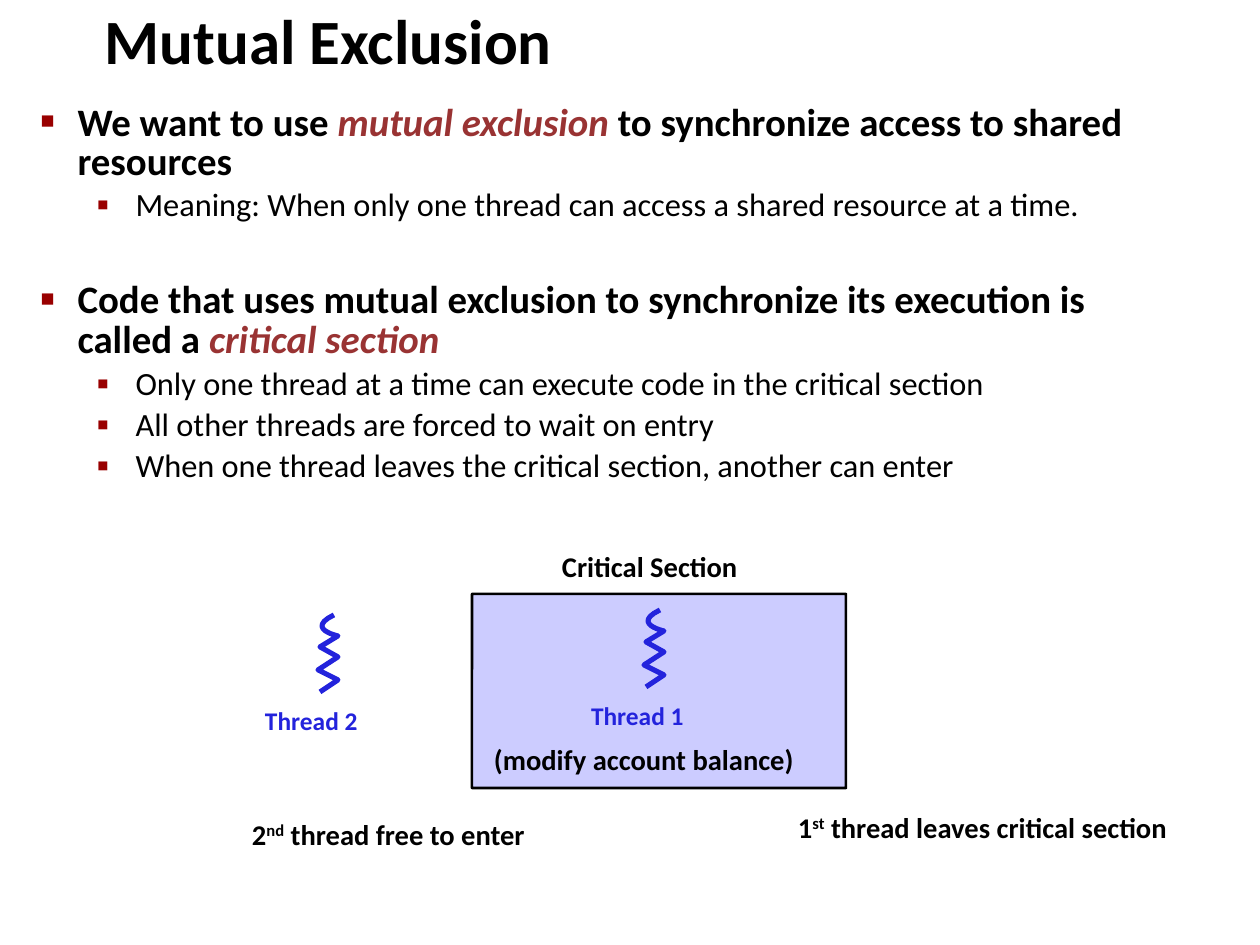
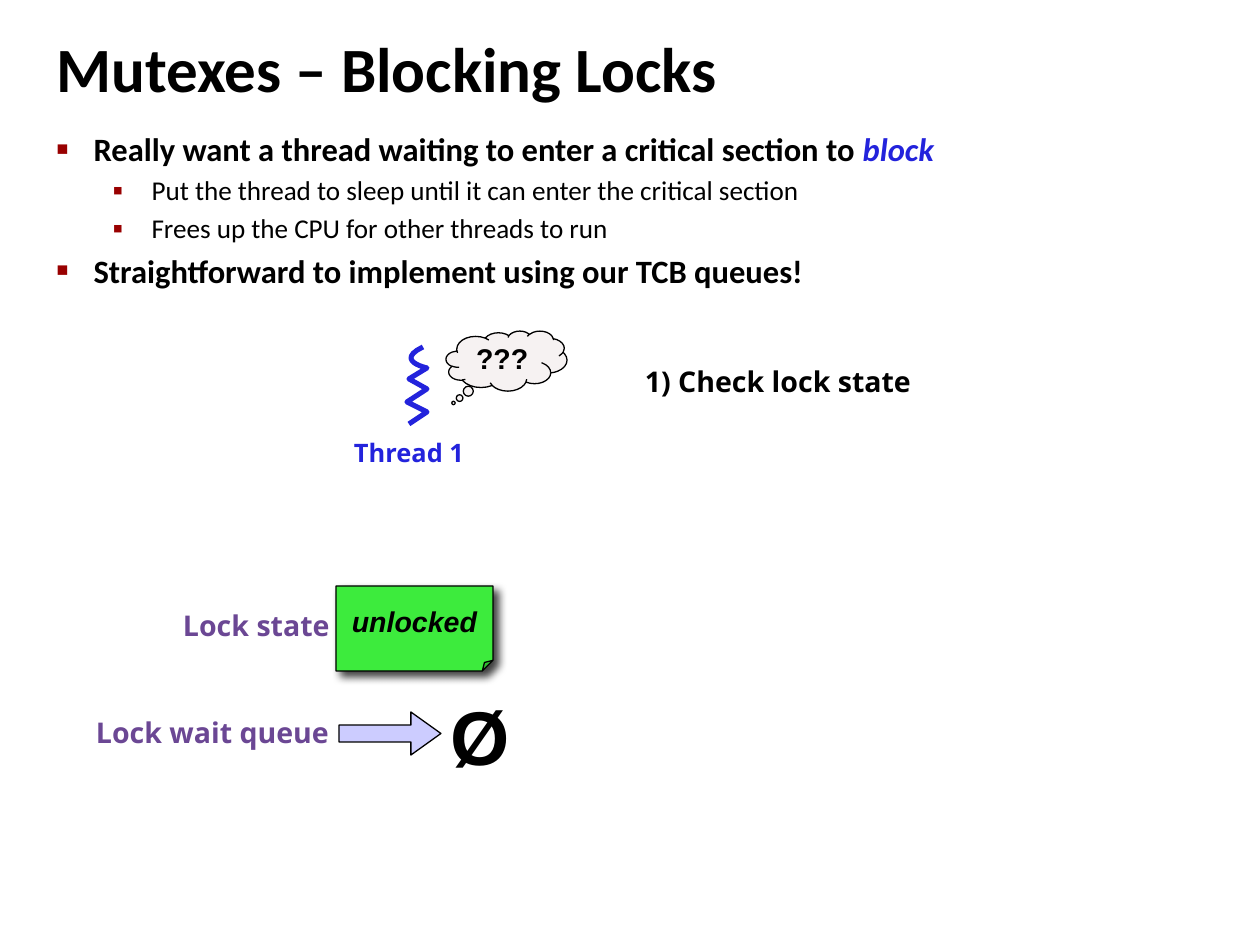
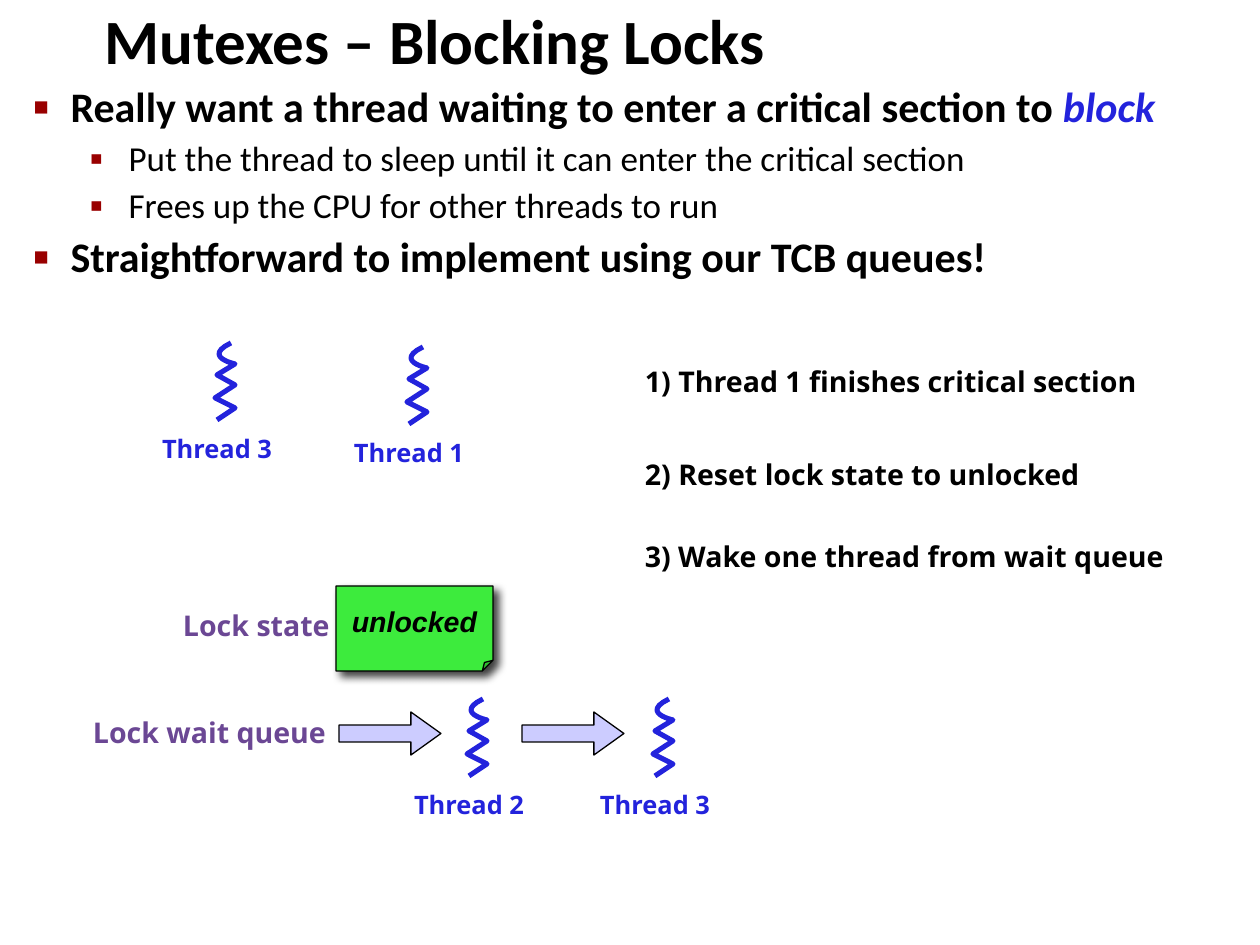
from lxml import etree
from pptx import Presentation
from pptx.dml.color import RGBColor
from pptx.enum.shapes import MSO_SHAPE
from pptx.enum.text import MSO_ANCHOR, MSO_AUTO_SIZE, PP_ALIGN
from pptx.oxml.ns import qn
from pptx.util import Pt

PX = 7257
LEFT, CENTER = PP_ALIGN.LEFT, PP_ALIGN.CENTER
TOP, MIDDLE = MSO_ANCHOR.TOP, MSO_ANCHOR.MIDDLE
NO_FIT = MSO_AUTO_SIZE.NONE
SECTION, NOTE = MSO_SHAPE.ROUNDED_RECTANGLE, MSO_SHAPE.FOLDED_CORNER
ARROW, CLOUD = MSO_SHAPE.RIGHT_ARROW, MSO_SHAPE.CLOUD_CALLOUT

COLORS = {
    "black": "000000", "thread": "2323DC", "term": "993333", "bullet": "990000",
    "lock": "6B4794", "lilac": "CCCCFF", "green": "3DEB3D", "cloud": "F6F2F2",
}
RGB = {name: RGBColor.from_string(value) for name, value in COLORS.items()}

BULLETS = [
    {"char": "■", "percent": 60, "margin": 37, "indent": -48, "bold": True},
    {"char": "▪", "percent": 110, "margin": 95, "indent": -39, "bold": False},
]

CURVE_START, CURVE_PULL, CURVE_END = (29, 0), (0, 14), (33, 21)
CURVE = [
    tuple((1 - t) ** 3 * a + 3 * (1 - t) ** 2 * t * b + (3 * (1 - t) + t) * t * t * c
          for a, b, c in zip(CURVE_START, CURVE_PULL, CURVE_END))
    for t in (step / 12 for step in range(1, 13))
]
SQUIGGLE = CURVE + [(15, 32), (33, 42), (13, 55), (33, 65), (15, 77)]


def write(paragraph, pieces, size, font, color="black", bold=True, spacing=0.95, align=LEFT):
    paragraph.alignment = align
    paragraph.line_spacing = spacing
    for piece in pieces:
        if piece == "\n":
            paragraph.add_line_break()
            continue
        text, style = (piece, {}) if isinstance(piece, str) else piece
        style = {"color": color, "italic": False, "base": 0} | style
        run = paragraph.add_run()
        run.text = text
        formats = {"name": font, "size": Pt(size), "bold": bold, "italic": style["italic"]}
        for name, value in formats.items():
            setattr(run.font, name, value)
        run.font.color.rgb = RGB[style["color"]]
        if style["base"]:
            run.font._element.set("baseline", str(style["base"] * 1000))


def set_frame(frame, anchor, wrap, margin=None):
    formats = {"auto_size": NO_FIT, "vertical_anchor": anchor, "word_wrap": wrap}
    if margin is not None:
        formats |= {f"margin_{side}": margin for side in ("left", "top", "right", "bottom")}
    for name, value in formats.items():
        setattr(frame, name, value)


BLOCK = ("block", {"color": "thread", "italic": True})
SUPER = {"base": 33}
BLOCKING_POINTS = [
    (0, None, ["Really want a thread waiting to enter a critical section to ", BLOCK]),
    (1, None, ["Put the thread to sleep until it can enter the critical section"]),
    (1, None, ["Frees up the CPU for other threads to run"]),
    (0, None, ["Straightforward to implement using our TCB queues!"]),
]
LOCK_NOTE = (NOTE, (336, 586, 157, 85), "green", 0.75, {"adj": 12500},
             [("unlocked", {"italic": True})])
ARROW_HEAD = {"adj1": 39200, "adj2": 69800}
QUEUE_ARROW = (ARROW, (339, 712, 102, 43), "lilac", 0.75, ARROW_HEAD, [])
LOCK_STATE = (183, 610, 155, ["Lock state"], "lock", 16.3, "Open Sans")

SLIDES = [
    {
        "title": "Mutual Exclusion", "title_box": (92, 10, 1076, 66),
        "body_box": (28, 98, 1213, 420), "sizes": (22.2, 18.5), "spacing": 0.85,
        "points": [
            (0, 5.4, ["We want to use ",
                      ("mutual exclusion", {"color": "term", "italic": True}),
                      " to synchronize access to shared resources"]),
            (1, None, ["Meaning: When only one thread can access a shared resource at a time."]),
            (0, 33.8, ["Code that uses mutual exclusion to synchronize its execution is",
                       "\n", "called a ",
                       ("critical section", {"color": "term", "italic": True})]),
            (1, 4.5, ["Only one thread at a time can execute code in the critical section"]),
            (1, 4.5, ["All other threads are forced to wait on entry"]),
            (1, 4.5, ["When one thread leaves the critical section, another can enter"]),
        ],
        "shapes": [(SECTION, (472, 594, 374, 194), "lilac", 1.45, {"adj": 100}, [])],
        "thread_font": "Calibri",
        "threads": [("Thread 1", 631, 610), ("Thread 2", 305, 615)],
        "labels": [
            (562, 552, 387, ["Critical Section"], "black", 16.3, "Calibri"),
            (494, 745, 387, ["(modify account balance)"], "black", 16.3, "Calibri"),
            (798, 813, 440, ["1", ("st", SUPER), " thread leaves critical section"],
             "black", 16.3, "Calibri"),
            (252, 820, 292, ["2", ("nd", SUPER), " thread free to enter"],
             "black", 16.3, "Calibri"),
        ],
    },
    {
        "title": "Mutexes – Blocking Locks", "title_box": (44, 18, 1046, 105),
        "body_box": (44, 123, 1089, 183), "sizes": (18.6, 15.5), "spacing": 1.0,
        "points": BLOCKING_POINTS,
        "shapes": [LOCK_NOTE, QUEUE_ARROW,
                   (CLOUD, (446, 331, 121, 60), "cloud", 0.75,
                    {"adj1": -43800, "adj2": 70000}, ["???"])],
        "thread_font": "Open Sans",
        "threads": [("Thread 1", 394, 347)],
        "labels": [
            LOCK_STATE,
            (96, 718, 241, ["Lock wait queue"], "lock", 16.3, "Open Sans"),
            (451, 696, 64, ["Ø"], "black", 43.5, "Arial"),
            (645, 367, 280, ["1) Check lock state"], "black", 16.3, "Open Sans"),
        ],
    },
    {
        "title": "Mutexes – Blocking Locks", "title_box": (92, 10, 1076, 66),
        "body_box": (21, 78, 1213, 774), "sizes": (24, 20), "spacing": 0.95,
        "points": BLOCKING_POINTS,
        "shapes": [LOCK_NOTE, QUEUE_ARROW,
                   (ARROW, (522, 712, 102, 43), "lilac", 0.75, ARROW_HEAD, [])],
        "thread_font": "Open Sans",
        "threads": [("Thread 1", 394, 347), ("Thread 2", 454, 699),
                    ("Thread 3", 640, 699), ("Thread 3", 202, 343)],
        "labels": [
            LOCK_STATE,
            (93, 718, 241, ["Lock wait queue"], "lock", 16.3, "Open Sans"),
            (645, 367, 510, ["1) Thread 1 finishes critical section"],
             "black", 16.3, "Open Sans"),
            (645, 459, 450, ["2) Reset lock state to unlocked"], "black", 16.3, "Open Sans"),
            (645, 542, 540, ["3) Wake one thread from wait queue"],
             "black", 16.3, "Open Sans"),
        ],
    },
]

deck = Presentation()
deck.slide_width, deck.slide_height = 1260 * PX, 945 * PX

for content in SLIDES:
    slide = deck.slides.add_slide(deck.slide_layouts[1])
    title, body = slide.shapes.title, slide.placeholders[1]
    for holder, box in ((title, content["title_box"]), (body, content["body_box"])):
        for side, length in zip(("left", "top", "width", "height"), box):
            setattr(holder, side, length * PX)
    set_frame(title.text_frame, MIDDLE, True)
    write(title.text_frame.paragraphs[0], [content["title"]], 36, "Calibri")

    set_frame(body.text_frame, TOP, True)
    for index, (level, before, pieces) in enumerate(content["points"]):
        point = body.text_frame.add_paragraph() if index else body.text_frame.paragraphs[0]
        bullet = BULLETS[level]
        point.level = level
        if before:
            point.space_before = Pt(before)
        write(point, pieces, content["sizes"][level], "Calibri",
              bold=bullet["bold"], spacing=content["spacing"])
        properties = point._p.get_or_add_pPr()
        properties.set("marL", str(bullet["margin"] * PX))
        properties.set("indent", str(bullet["indent"] * PX))
        bullet_color = etree.SubElement(properties, qn("a:buClr"))
        etree.SubElement(bullet_color, qn("a:srgbClr"), val=COLORS["bullet"])
        etree.SubElement(properties, qn("a:buSzPct"), val=str(bullet["percent"] * 1000))
        etree.SubElement(properties, qn("a:buFont"), typeface="Arial")
        etree.SubElement(properties, qn("a:buChar"), char=bullet["char"])

    for kind, box, fill, line, adjustments, pieces in content["shapes"]:
        part = slide.shapes.add_shape(kind, *(length * PX for length in box))
        geometry = part._element.spPr.find(qn("a:prstGeom"))
        for guides in geometry.findall(qn("a:avLst")):
            geometry.remove(guides)
        guides = etree.SubElement(geometry, qn("a:avLst"))
        for name, value in adjustments.items():
            etree.SubElement(guides, qn("a:gd"), name=name, fmla=f"val {value}")
        part.fill.solid()
        part.fill.fore_color.rgb = RGB[fill]
        part.line.color.rgb = RGB["black"]
        part.line.width = Pt(line)
        part.shadow.inherit = False
        if kind == NOTE:
            effects = part._element.spPr.find(qn("a:effectLst"))
            shadow = etree.SubElement(effects, qn("a:outerShdw"), blurRad="63500",
                                      dist="52070", dir="2700000", algn="tl", rotWithShape="0")
            shade = etree.SubElement(shadow, qn("a:srgbClr"), val=COLORS["black"])
            etree.SubElement(shade, qn("a:alpha"), val="75000")
        if pieces:
            set_frame(part.text_frame, MIDDLE, False, 0)
            write(part.text_frame.paragraphs[0], pieces, 16.3, "Arial", align=CENTER)

    labels = list(content["labels"])
    for name, left, top in content["threads"]:
        outline = slide.shapes.build_freeform(
            (left + CURVE_START[0]) * PX, (top + CURVE_START[1]) * PX)
        outline.add_line_segments(
            [((left + x) * PX, (top + y) * PX) for x, y in SQUIGGLE], close=False)
        squiggle = outline.convert_to_shape()
        squiggle.fill.background()
        squiggle.line.color.rgb = RGB["thread"]
        squiggle.line.width = Pt(2.89)
        squiggle.shadow.inherit = False
        labels.append((left - 40, top + 92, 122, [name], "thread", 14.5, content["thread_font"]))

    for left, top, width, pieces, color, size, font in labels:
        label = slide.shapes.add_textbox(left * PX, top * PX, width * PX, round(size * 2) * PX)
        set_frame(label.text_frame, TOP, True, 0)
        write(label.text_frame.paragraphs[0], pieces, size, font, color)

deck.save("out.pptx")
